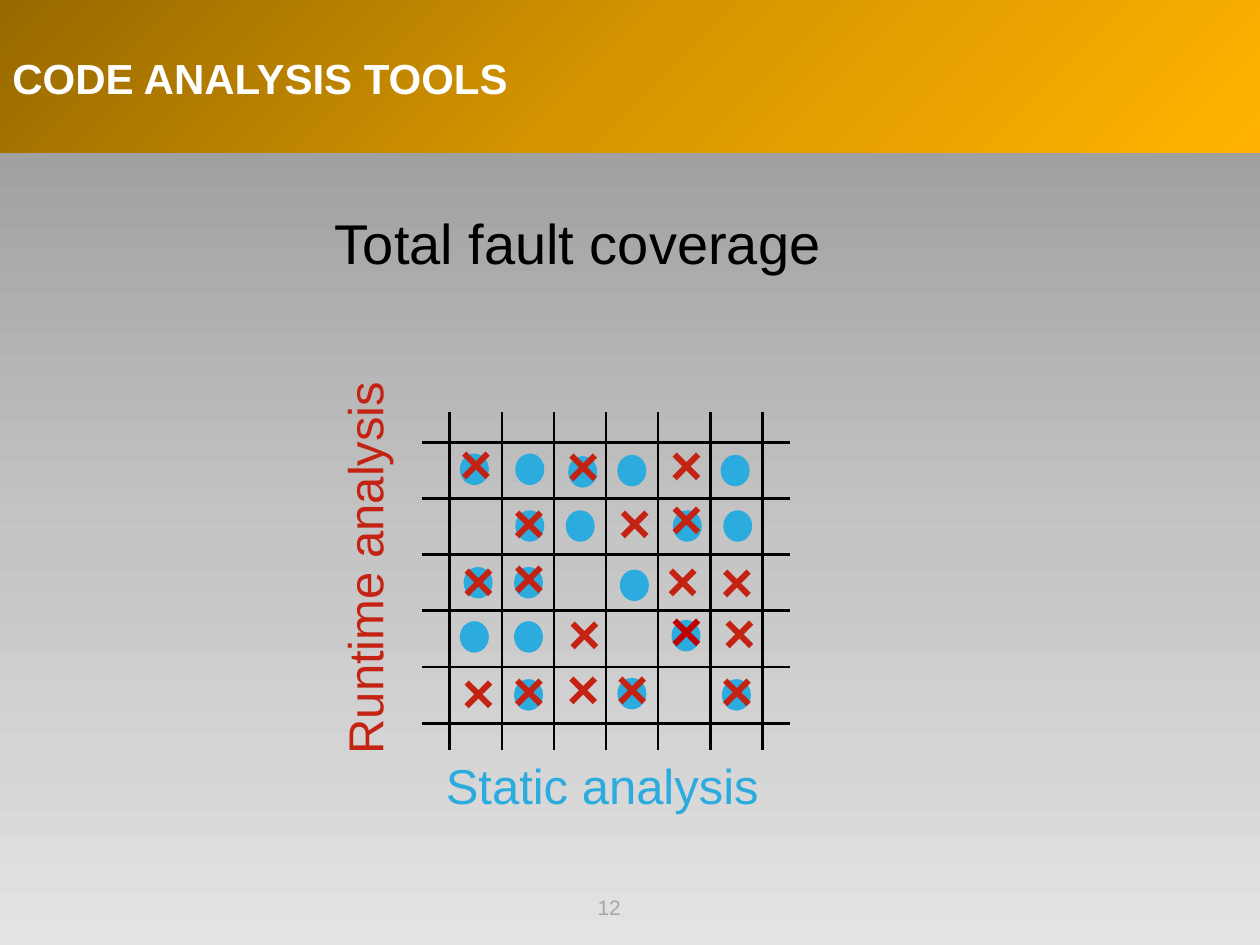
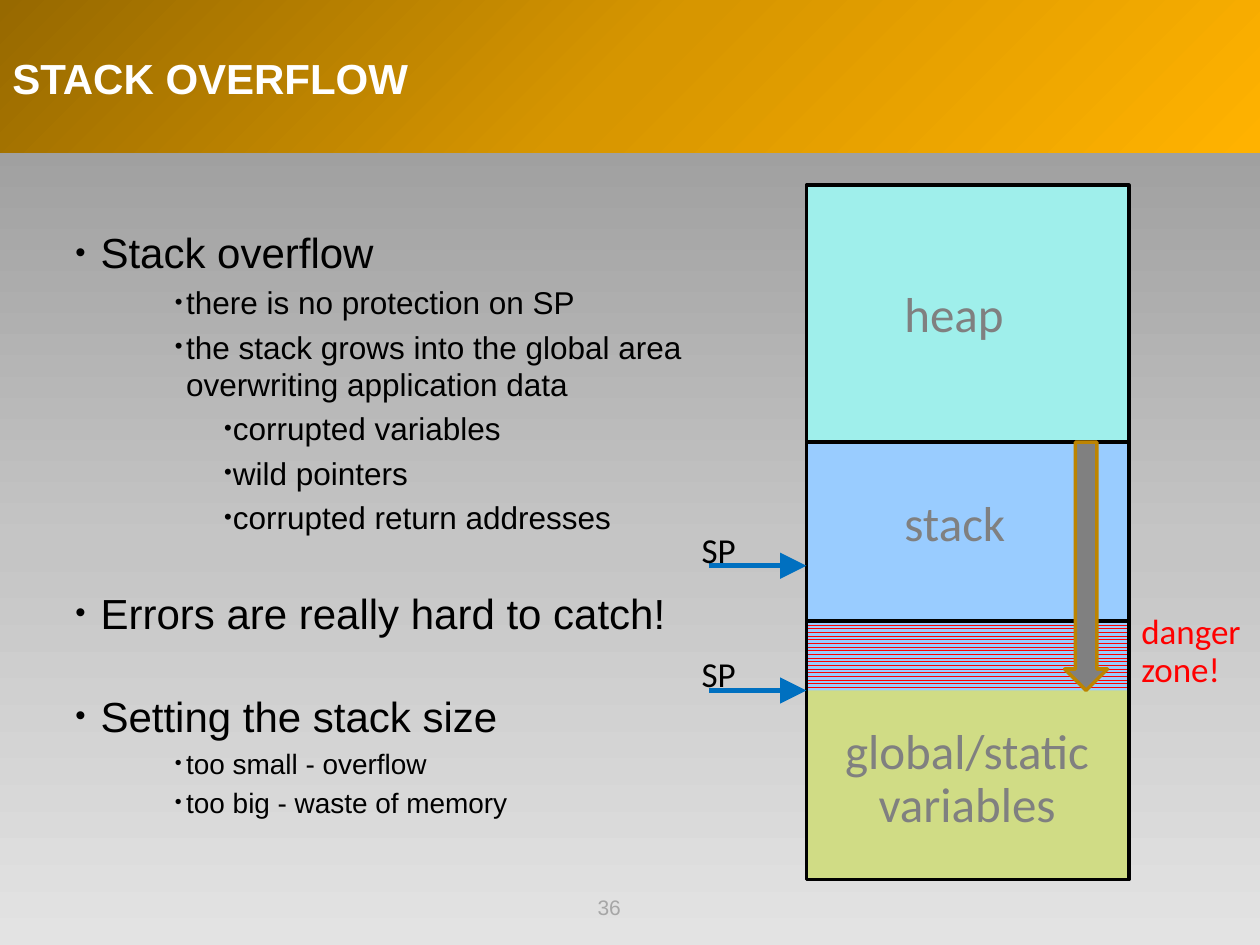
from copy import deepcopy

from lxml.etree import SubElement
from pptx import Presentation
from pptx.dml.color import RGBColor
from pptx.enum.dml import MSO_PATTERN
from pptx.enum.shapes import MSO_CONNECTOR, MSO_SHAPE
from pptx.enum.text import MSO_ANCHOR, PP_ALIGN
from pptx.oxml.ns import qn
from pptx.util import Pt

PX = 9144  # 100 px to the inch
W, H = 1000, 750

C = {
    "black": "000000", "white": "FFFFFF", "number": "A6A6A6",
    "runtime": "C42313", "runtime_dark": "C00000", "static": "2BABDE",
    "heap": "9FEFEB", "stack": "99CCFF", "global": "D0DC85",
    "label": "808080", "danger": "FF0000", "arrow_edge": "BD8400", "sp": "0070C0",
}
BACKDROP = ((-1, 115, 1001, 635), 90, ("A0A0A0", "C5C5C5", "E3E3E3"))
BAND = ((0, 0, W, 121), 45, ("976900", "D79600", "FFB200"))

# Text formats: font values, then paragraph values
TITLE = ({"name": "Arial", "size": Pt(24), "bold": True}, {"space_before": Pt(4.8)})
NUMBER = ({"name": "Arial", "size": Pt(12)}, {"alignment": PP_ALIGN.CENTER})
HEADING = ({"name": "Arial", "size": Pt(32)}, {})
AXIS = ({"name": "Arial", "size": Pt(28)}, {})
CROSS = ({"name": "Arial", "size": Pt(32), "bold": True}, {})
TIGHT = {"line_spacing": 0.9, "space_before": Pt(5)}
AREA = ({"name": "Calibri", "size": Pt(28)}, TIGHT)
AREA_CENTRED = (AREA[0], {**TIGHT, "alignment": PP_ALIGN.CENTER})
NOTE = ({"name": "Calibri", "size": Pt(20)}, TIGHT)

# Fault grid, and the left and top of each mark
GRID = {"x": 357, "y": 351, "right": 605, "bottom": 574, "cols": 6, "rows": 5}
OVERHANG = 22
CIRCLES = [
    (365, 360), (409, 360), (451, 362), (490, 361), (572, 361),
    (409, 405), (449, 405), (534, 405), (574, 405),
    (368, 450), (408, 450), (492, 452),
    (365, 493), (408, 493), (533, 492),
    (408, 539), (490, 538), (573, 539),
]
DARK_CROSS = (522, 468)
CROSSES = [
    (355, 335), (440, 337), (522, 336), (357, 428), (357, 517), (397, 426),
    (564, 469), (562, 515), (481, 382), (440, 514), (441, 470), (522, 379),
    (397, 382), (479, 514), (397, 515), DARK_CROSS, (519, 428), (562, 429),
]

# Bullets: level, size, extra space before, text
BULLETS = [
    (0, 24, 0, "Stack overflow"),
    (1, 18, 0, "there is no protection on SP"),
    (1, 18, 0, "the stack grows into the global area overwriting application data"),
    (2, 18, 0, "corrupted variables"),
    (2, 18, 0, "wild pointers"),
    (2, 18, 0, "corrupted return addresses"),
    (0, 24, 25, "Errors are really hard to catch!"),
    (0, 24, 25, "Setting the stack size"),
    (1, 16, 0, "too small - overflow"),
    (1, 16, 0, "too big - waste of memory"),
]
INDENTS = [(20, -20), (88, -9), (125, -7)]  # left margin, first line

# Memory map
MAP_X, MAP_W = 640, 256
HEAP_Y, STACK_Y, GLOBAL_Y, MAP_END = 147, 351, 493, 698
ZONE_H = 55
AREA_LABELS = [
    ((708, 225, 136, 55), "heap", AREA, "label"),
    ((708, 391, 136, 55), "stack", AREA, "label"),
    ((648, 572, 239, 94), "global/static\nvariables", AREA_CENTRED, "label"),
    ((896, 483, 104, 73), "danger zone!", NOTE, "danger"),
]
SP_LEVELS = [449, GLOBAL_Y + ZONE_H]


def px(*values):
    return [round(v * PX) for v in values]


def rgb(name):
    return RGBColor.from_string(C[name])


def shape(s, kind, box, fill=None, line=None, width=2):
    sp = s.shapes.add_shape(kind, *px(*box))
    sp.shadow.inherit = False
    if fill:
        sp.fill.solid()
        sp.fill.fore_color.rgb = rgb(fill)
    else:
        sp.fill.background()
    if line:
        sp.line.color.rgb = rgb(line)
        sp.line.width = Pt(width)
    else:
        sp.line.fill.background()
    return sp


def gradient_rect(s, box, angle, colours):
    sp = shape(s, MSO_SHAPE.RECTANGLE, box)
    sp.fill.gradient()
    sp.fill.gradient_angle = 360 - angle
    stops = sp.element.spPr.find(qn("a:gradFill")).find(qn("a:gsLst"))
    stops.append(deepcopy(stops[0]))
    for i, (stop, colour) in enumerate(zip(sp.fill.gradient_stops, colours)):
        stop.position = i / 2
        stop.color.rgb = RGBColor.from_string(colour)


def write(p, txt, fmt, colour):
    font, para = fmt
    p.text = txt
    for key, value in para.items():
        setattr(p, key, value)
    for r in p.runs:
        for key, value in font.items():
            setattr(r.font, key, value)
        r.font.color.rgb = rgb(colour)


def text(s, box, txt, fmt, colour, wrap=True, anchor=MSO_ANCHOR.TOP):
    tb = s.shapes.add_textbox(*px(*box))
    tf = tb.text_frame
    tf.word_wrap = wrap
    tf.vertical_anchor = anchor
    write(tf.paragraphs[0], txt, fmt, colour)
    return tb


def line(s, x1, y1, x2, y2, colour, width, arrow=False):
    c = s.shapes.add_connector(MSO_CONNECTOR.STRAIGHT, *px(x1, y1, x2, y2))
    c.line.color.rgb = rgb(colour)
    c.line.width = Pt(width)
    if arrow:
        ln = c.element.spPr.find(qn("a:ln"))
        SubElement(ln, qn("a:tailEnd"), type="triangle", w="lg", len="lg")
    SubElement(c.element.spPr, qn("a:effectLst"))


def new_slide(prs, title, number):
    s = prs.slides.add_slide(prs.slide_layouts[6])
    gradient_rect(s, *BACKDROP)
    gradient_rect(s, *BAND)
    text(s, (0, 0, 846, 123), title, TITLE, "white", anchor=MSO_ANCHOR.MIDDLE)
    text(s, (367, 700, 233, 40), number, NUMBER, "number", anchor=MSO_ANCHOR.MIDDLE)
    return s


def coverage_slide(prs):
    s = new_slide(prs, "CODE ANALYSIS TOOLS", "12")
    text(s, (129, 420, 320, 57), "Runtime analysis", AXIS, "runtime", wrap=False).rotation = 270
    text(s, (344, 595, 271, 57), "Static analysis", AXIS, "static", wrap=False)
    text(s, (256, 161, 409, 64), "Total fault coverage", HEADING, "black", wrap=False)

    # Grid lines
    g = GRID
    col_w = (g["right"] - g["x"]) / g["cols"]
    row_h = (g["bottom"] - g["y"]) / g["rows"]
    for i in range(g["cols"] + 1):
        x = g["x"] + i * col_w
        line(s, x, g["y"] - 24, x, g["bottom"] + 21, "black", 1.5)
    for i in range(g["rows"] + 1):
        y = g["y"] + i * row_h
        line(s, g["x"] - OVERHANG, y, g["right"] + OVERHANG, y, "black", 1.5)

    # Faults found by each kind of analysis
    for x, y in CIRCLES:
        shape(s, MSO_SHAPE.OVAL, (x, y, 23, 25), "static")
    for x, y in CROSSES:
        colour = "runtime_dark" if (x, y) == DARK_CROSS else "runtime"
        text(s, (x, y, 45, 64), "×", CROSS, colour, wrap=False)


def stack_slide(prs):
    s = new_slide(prs, "STACK OVERFLOW", "36")

    # Bullets
    tf = text(s, (50, 175, 576, 495), "", ({}, {}), "black").text_frame
    for i, (level, size, extra, txt) in enumerate(BULLETS):
        p = tf.add_paragraph() if i else tf.paragraphs[0]
        para = {"level": level, "space_before": Pt(size * 0.2 + extra)}
        write(p, txt, ({"name": "Arial", "size": Pt(size)}, para), "black")
        pPr = p._p.get_or_add_pPr()
        for key, value in zip(("marL", "indent"), px(*INDENTS[level])):
            pPr.set(key, str(value))
        SubElement(pPr, qn("a:buSzPct"), val="70000")
        SubElement(pPr, qn("a:buFont"), typeface="Arial")
        SubElement(pPr, qn("a:buChar"), char="•")

    # Memory areas, with the danger zone under the outline
    def area(top, bottom, fill=None, edge=None):
        return shape(s, MSO_SHAPE.RECTANGLE, (MAP_X, top, MAP_W, bottom - top), fill, edge)

    area(HEAP_Y, STACK_Y, "heap", "black")
    area(GLOBAL_Y, MAP_END, "global")
    zone = area(GLOBAL_Y, GLOBAL_Y + ZONE_H)
    zone.fill.patterned()
    zone.fill.pattern = MSO_PATTERN.ZIG_ZAG
    zone.fill.fore_color.rgb = rgb("danger")
    zone.fill.back_color.rgb = rgb("stack")
    area(STACK_Y, GLOBAL_Y, "stack", "black")
    area(GLOBAL_Y, MAP_END, edge="black")
    for box, txt, fmt, colour in AREA_LABELS:
        text(s, box, txt, fmt, colour)

    # Stack growth and stack pointers
    growth = (845, STACK_Y, 34, GLOBAL_Y + ZONE_H - STACK_Y)
    shape(s, MSO_SHAPE.DOWN_ARROW, growth, "label", "arrow_edge")
    for y in SP_LEVELS:
        line(s, 563, y, MAP_X, y, "sp", 3, arrow=True)
        text(s, (547, y - 31, 51, 34), "SP", NOTE, "black")


def main():
    prs = Presentation()
    prs.slide_width, prs.slide_height = px(W, H)
    coverage_slide(prs)
    stack_slide(prs)
    prs.save("out.pptx")


if __name__ == "__main__":
    main()
